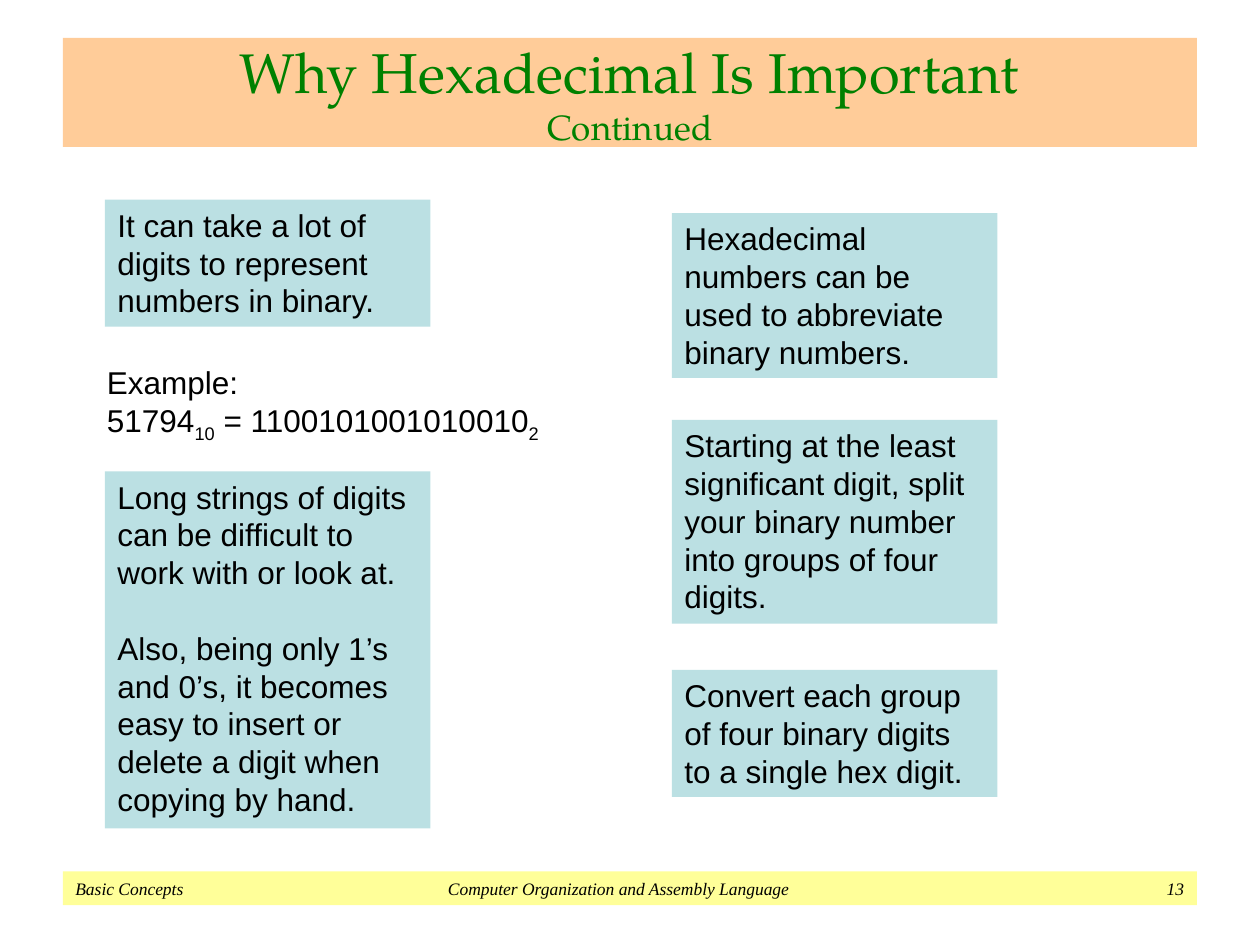
"""Build a slide on why hexadecimal numbers are important."""
from dataclasses import dataclass

from lxml import etree
from pptx import Presentation
from pptx.dml.color import RGBColor
from pptx.enum.shapes import MSO_SHAPE
from pptx.enum.text import MSO_ANCHOR, MSO_AUTO_SIZE, PP_ALIGN
from pptx.oxml.ns import qn
from pptx.util import Inches, Pt

RECTANGLE = MSO_SHAPE.RECTANGLE
TOP, MIDDLE = MSO_ANCHOR.TOP, MSO_ANCHOR.MIDDLE
LEFT, CENTER = PP_ALIGN.LEFT, PP_ALIGN.CENTER
FIXED, GROW = MSO_AUTO_SIZE.NONE, MSO_AUTO_SIZE.SHAPE_TO_FIT_TEXT
WIDTH, HEIGHT = Inches(10), Inches(7.5)
COLUMNS, ROWS = 120, 90


@dataclass(frozen=True)
class Theme:
    title_fill: str = "FFCC99"
    note_fill: str = "BBE0E3"
    footer_fill: str = "FFFF99"
    title_ink: str = "008000"
    ink: str = "000000"
    title_font: str = "TeX Gyre Pagella"
    body_font: str = "Arial"
    footer_font: str = "Times New Roman"
    title_size: float = 32
    subtitle_size: float = 20
    body_size: float = 18
    footer_size: float = 10
    paragraph_gap: float = 21.6


THEME = Theme()


@dataclass(frozen=True)
class Area:
    column: float
    row: float
    columns: float
    rows: float

    def lengths(self) -> tuple[int, int, int, int]:
        return (
            int(WIDTH * self.column / COLUMNS),
            int(HEIGHT * self.row / ROWS),
            int(WIDTH * self.columns / COLUMNS),
            int(HEIGHT * self.rows / ROWS),
        )


@dataclass(frozen=True)
class Note:
    area: Area
    paragraphs: tuple[str, ...]


NOTE_COLUMNS = 31
LEFT_COLUMN, RIGHT_COLUMN = 10, 64
NOTES = (
    Note(Area(LEFT_COLUMN, 19, NOTE_COLUMNS, 12.1),
         ("It can take a lot of digits to represent numbers in binary.",)),
    Note(Area(LEFT_COLUMN, 44.9, NOTE_COLUMNS, 34),
         ("Long strings of digits can be difficult to work with or look at.",
          "Also, being only 1’s and 0’s, it becomes easy to insert or "
          "delete a digit when copying by hand.")),
    Note(Area(RIGHT_COLUMN, 20.3, NOTE_COLUMNS, 15.7),
         ("Hexadecimal numbers can be used to abbreviate binary numbers.",)),
    Note(Area(RIGHT_COLUMN, 40, NOTE_COLUMNS, 19.4),
         ("Starting at the least significant digit, split your binary "
          "number into groups of four digits.",)),
    Note(Area(RIGHT_COLUMN, 63.8, NOTE_COLUMNS, 12.1),
         ("Convert each group of four binary digits to a single hex digit.",)),
)
TITLE_AREA = Area(6, 3.6, 108, 10.4)
FOOTER_AREA = Area(6, 83, 108, 3.2)
EXAMPLE_AREA = Area(9, 34, 45, 8.5)
EXAMPLE_PARTS = (("51794", False), ("10", True), (" = 1100101001010010", False), ("2", True))
FOOTER_TABS = ((4.31, "ctr"), (8.8, "r"))


def apply_format(target, values: dict) -> None:
    for name, value in values.items():
        setattr(target, name, value)


def add_run(paragraph, text: str, size: float = THEME.body_size, name: str = THEME.body_font,
            ink: str = THEME.ink, italic: bool = False):
    run = paragraph.add_run()
    run.text = text
    apply_format(run.font, {"size": Pt(size), "name": name, "italic": italic})
    run.font.color.rgb = RGBColor.from_string(ink)
    return run


def add_panel(slide, area: Area, fill: str, auto_size=GROW, anchor=TOP):
    shape = slide.shapes.add_shape(RECTANGLE, *area.lengths())
    shape.shadow.inherit = False
    shape.fill.solid()
    shape.fill.fore_color.rgb = RGBColor.from_string(fill)
    shape.line.fill.background()
    apply_format(shape.text_frame,
                 {"word_wrap": True, "auto_size": auto_size, "vertical_anchor": anchor})
    shape.text_frame.paragraphs[0].alignment = LEFT
    return shape.text_frame


def add_title(slide) -> None:
    frame = add_panel(slide, TITLE_AREA, THEME.title_fill, FIXED, MIDDLE)
    paragraph = frame.paragraphs[0]
    paragraph.alignment = CENTER
    add_run(paragraph, "Why Hexadecimal Is Important",
            THEME.title_size, THEME.title_font, THEME.title_ink)
    paragraph.add_line_break()
    add_run(paragraph, "Continued", THEME.subtitle_size, THEME.title_font, THEME.title_ink)


def add_note(slide, note: Note) -> None:
    frame = add_panel(slide, note.area, THEME.note_fill)
    for index, text in enumerate(note.paragraphs):
        paragraph = frame.add_paragraph() if index else frame.paragraphs[0]
        apply_format(paragraph, {"alignment": LEFT,
                                 "space_before": Pt(THEME.paragraph_gap if index else 0)})
        add_run(paragraph, text)


def add_example(slide) -> None:
    frame = slide.shapes.add_textbox(*EXAMPLE_AREA.lengths()).text_frame
    apply_format(frame, {"word_wrap": False, "auto_size": GROW})
    add_run(frame.paragraphs[0], "Example:")
    equation = frame.add_paragraph()
    for text, is_subscript in EXAMPLE_PARTS:
        run = add_run(equation, text)
        if is_subscript:
            run.font._element.set("baseline", "-25000")


def add_footer(slide) -> None:
    paragraph = add_panel(slide, FOOTER_AREA, THEME.footer_fill).paragraphs[0]
    tab_list = etree.SubElement(paragraph._p.get_or_add_pPr(), qn("a:tabLst"))
    for position, alignment in FOOTER_TABS:
        etree.SubElement(tab_list, qn("a:tab"), pos=str(Inches(position)), algn=alignment)
    add_run(paragraph, "Basic Concepts\tComputer Organization and Assembly Language\t13",
            THEME.footer_size, THEME.footer_font, italic=True)


def main() -> None:
    presentation = Presentation()
    apply_format(presentation, {"slide_width": WIDTH, "slide_height": HEIGHT})
    slide = presentation.slides.add_slide(presentation.slide_layouts[6])
    add_footer(slide)
    add_title(slide)
    for note in NOTES:
        add_note(slide, note)
    add_example(slide)
    presentation.save("out.pptx")


if __name__ == "__main__":
    main()
